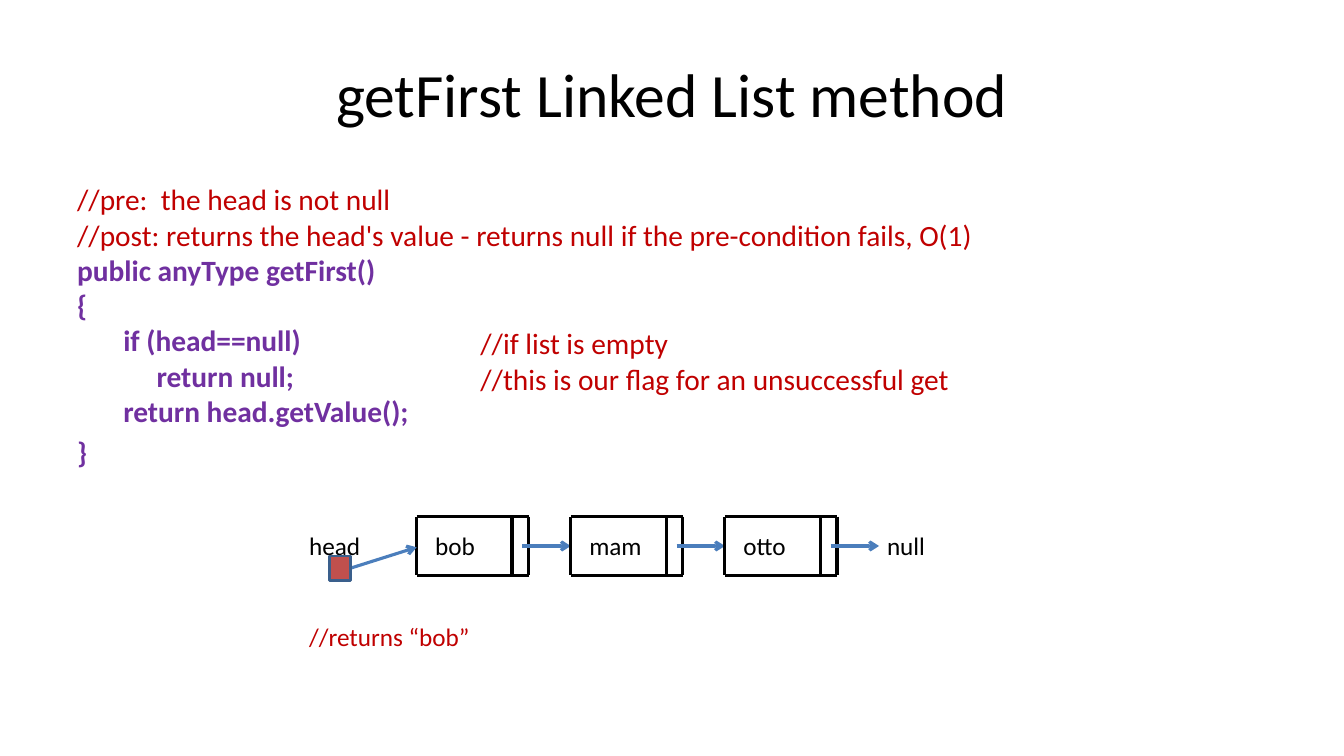
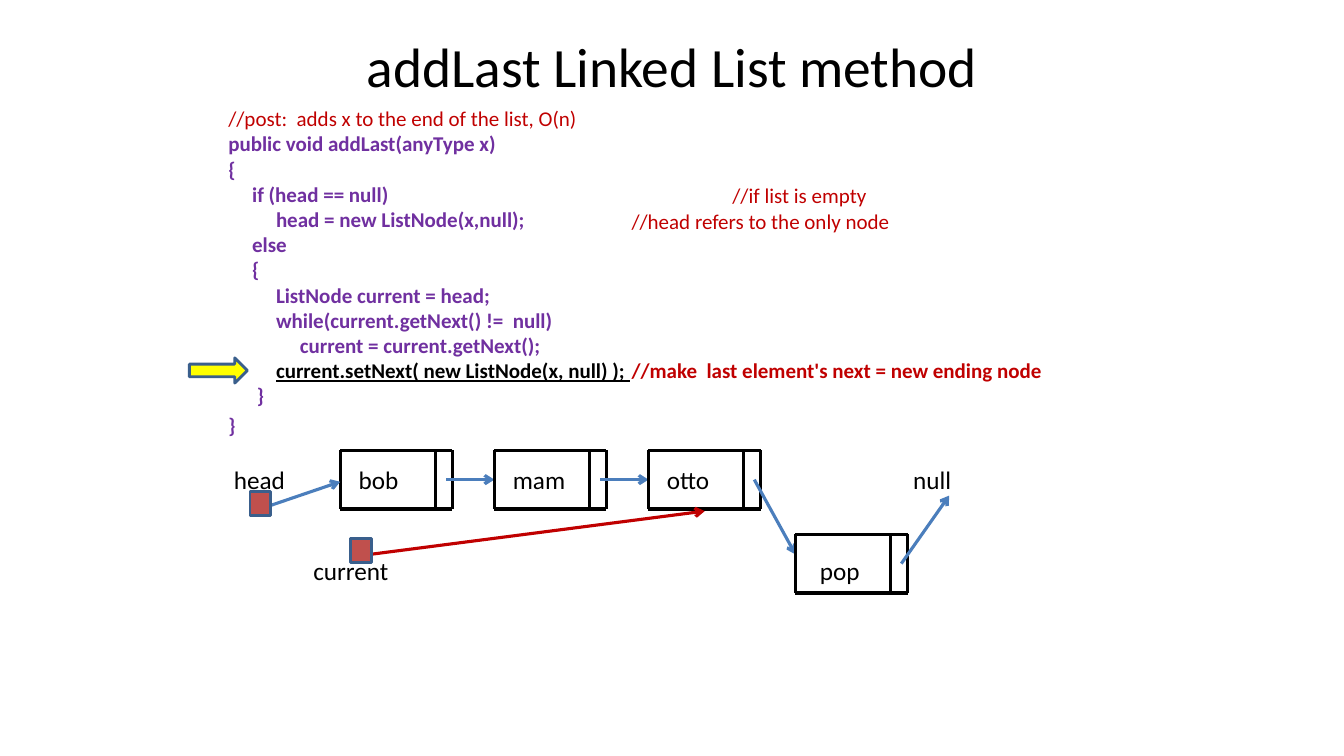
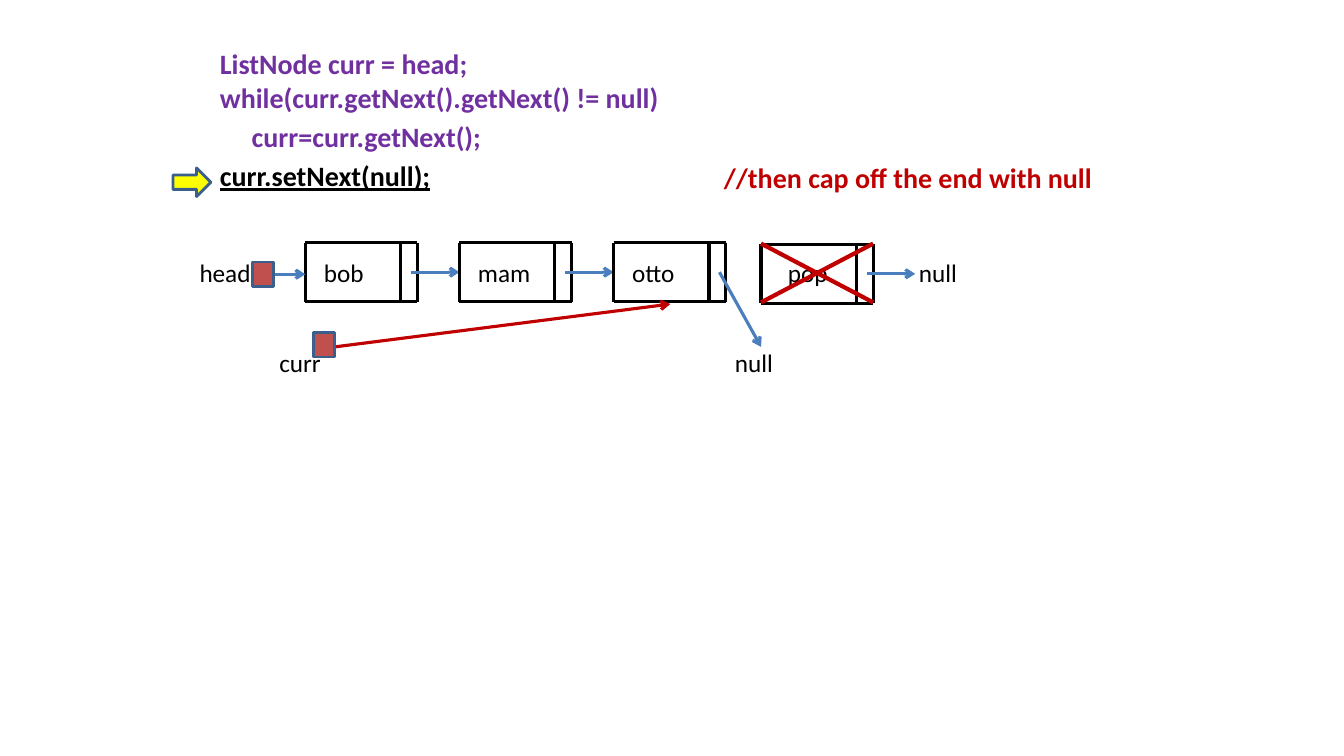
import pptx
import pptx.util
import pptx.dml.color
import pptx.enum.shapes
import pptx.enum.text
import pptx.oxml
import pptx.oxml.ns

FONT = "Calibri"
COLORS = {
    "ink": "000000",
    "code": "7030A0",
    "note": "C00000",
    "link": "4B7EBC",
    "box": "C0504D",
    "edge": "3A5F8C",
    "marker": "FFFF00",
}
COLS, ROWS, ROW_POINTS = 160, 90, 6
LINE_HEIGHT, GAP = 1.22, 0.2
NODE_W, NODE_H, NODE_PITCH = 13.35, 7, 18.35
DIVIDER, TAIL, INSET = 11.35, 12.6, 2.2
RIGHT = 3
SHAPE = pptx.enum.shapes.MSO_SHAPE


def rgb(name):
    return pptx.dml.color.RGBColor.from_string(COLORS[name])


def add_text(p, text, size=18, color="ink", bold=False, underline=False):
    r = p.add_run()
    r.text = text
    r.font.name = FONT
    r.font.size = pptx.util.Pt(size)
    r.font.bold = bold
    r.font.underline = underline
    r.font.color.rgb = rgb(color)
    return r


def code(text):
    return text, dict(color="code", bold=True)


def note(text, bold=False):
    return text, dict(color="note", bold=bold)


def mark(text):
    return text, dict(bold=True, underline=True)


class Deck:
    """Holds the style and the current slide, and draws linked-list elements on a grid."""

    def __init__(self):
        self.prs = pptx.Presentation()
        self.prs.slide_width = pptx.util.Inches(13.33)
        self.prs.slide_height = pptx.util.Inches(7.5)
        self.s = None

    def x(self, cols):
        return round(self.prs.slide_width * cols / COLS)

    def y(self, rows):
        return round(self.prs.slide_height * rows / ROWS)

    def area(self, left, top, width, height):
        return self.x(left), self.y(top), self.x(width), self.y(height)

    def new_slide(self, title=None, area=None, size=44):
        self.s = self.prs.slides.add_slide(self.prs.slide_layouts[5 if title else 6])
        if title:
            sp = self.s.shapes.title
            sp.left, sp.top, sp.width, sp.height = self.area(*area)
            tf = sp.text_frame
            tf.vertical_anchor = pptx.enum.text.MSO_ANCHOR.MIDDLE
            p = tf.paragraphs[0]
            p.alignment = pptx.enum.text.PP_ALIGN.CENTER
            add_text(p, title, size=size)

    def text_box(self, area):
        tf = self.s.shapes.add_textbox(*self.area(*area)).text_frame
        tf.word_wrap = True
        return tf

    def code_block(self, area, lines, size, indent):
        """Writes (depth, spaced, runs) lines, each indented by its depth."""
        tf = self.text_box(area)
        for i, (depth, spaced, *runs) in enumerate(lines):
            p = tf.add_paragraph() if i else tf.paragraphs[0]
            p.space_before = pptx.util.Pt(size * GAP if spaced else 0)
            pPr = p._p.get_or_add_pPr()
            pPr.set("marL", "0")
            pPr.set("indent", str(self.x(depth * indent)))
            for text, style in runs:
                add_text(p, text, size=size, **style)

    def side_note(self, area, column, line, text, size, gaps=0, bold=False):
        """Writes a comment beside one line of the code block in the area."""
        left, top, width, _ = area
        offset = (line * LINE_HEIGHT + gaps * GAP) * size / ROW_POINTS
        tf = self.text_box((left + column, top + offset, width - column, 5.4))
        add_text(tf.paragraphs[0], text, size=size, color="note", bold=bold)

    def label(self, left, top, text, width=12, color="ink"):
        tf = self.text_box((left, top, width, 3.6))
        tf.margin_left = tf.margin_right = tf.margin_top = tf.margin_bottom = 0
        add_text(tf.paragraphs[0], text, color=color)

    def shape(self, kind, area, fill):
        sp = self.s.shapes.add_shape(kind, *self.area(*area))
        sp.shadow.inherit = False
        sp.fill.solid()
        sp.fill.fore_color.rgb = rgb(fill)
        sp.line.color.rgb = rgb("edge")
        sp.line.width = pptx.util.Pt(2)
        return sp

    def line(self, start, end, color="ink", weight=2.25, arrow=False):
        c = self.s.shapes.add_connector(
            pptx.enum.shapes.MSO_CONNECTOR.STRAIGHT,
            self.x(start[0]), self.y(start[1]), self.x(end[0]), self.y(end[1]))
        c.line.color.rgb = rgb(color)
        c.line.width = pptx.util.Pt(weight)
        ns = pptx.oxml.ns.nsdecls("a")
        if arrow:
            c.line._get_or_add_ln().append(
                pptx.oxml.parse_xml('<a:tailEnd %s type="arrow"/>' % ns))
        c._element.spPr.append(pptx.oxml.parse_xml("<a:effectLst %s/>" % ns))
        return c

    def node(self, left, top, text, label_top, inset=INSET, next_end=None):
        """Draws a list node from lines, with its label and its next arrow."""
        for y in (top, top + NODE_H):
            self.line((left, y), (left + NODE_W, y))
        for x in (left, left + DIVIDER, left + NODE_W):
            self.line((x, top), (x, top + NODE_H))
        self.label(left + inset, label_top, text, width=8)
        middle = top + NODE_H / 2
        self.line((left + TAIL, middle), next_end or (left + NODE_PITCH, middle),
                  color="link", arrow=True)

    def node_chain(self, left, top, names, label_top, last_end=None):
        for i, name in enumerate(names):
            end = last_end if i == len(names) - 1 else None
            self.node(left + i * NODE_PITCH, top, name, label_top, next_end=end)

    def reference(self, left, top, end, color="link", start=None):
        c = self.line(start or (left, top), end, color=color, arrow=True)
        sp = self.shape(SHAPE.RECTANGLE, (left, top, 2.5, 2.9), "box")
        if not start:
            c.begin_connect(sp, RIGHT)

    def step_marker(self, *area):
        self.shape(SHAPE.RIGHT_ARROW, area, "marker")

    def cross_out(self, left, top):
        for y1, y2 in ((top, top + NODE_H), (top + NODE_H, top)):
            self.line((left, y1), (left + NODE_W, y2), color="note", weight=3)


NAMES = ["bob", "mam", "otto"]


def get_first(deck):
    deck.new_slide("getFirst Linked List method", (8, 3.6, 144, 15))
    body = (8, 21, 144, 59.4)
    deck.code_block(body, [
        (0, False, note("//pre:  the head is not null")),
        (0, False, note("//post: returns the head's value - returns null if the pre-condition fails, O(1)")),
        (0, False, code("public anyType getFirst()")),
        (0, False, code("{")),
        (1, False, code("if (head==null)")),
        (1.72, False, code("return null;")),
        (1, False, code("return head.getValue();")),
        (0, True, code("}")),
    ], size=21, indent=5.5)
    deck.side_note(body, 48, 4, "//if list is empty", size=21)
    deck.side_note(body, 48, 5, "//this is our flag for an unsuccessful get", size=21)
    deck.node_chain(49.6, 61.5, NAMES, 63.1)
    deck.label(36.8, 63.1, "head")
    deck.label(105.6, 63.1, "null")
    deck.label(36.8, 74, "//returns “bob”", width=24, color="note")
    deck.reference(39.2, 66.2, (49.6, 65.15))


def add_last(deck):
    deck.new_slide("addLast Linked List method", (26, 3.6, 108, 8.4), size=39.6)
    body = (26, 12, 108, 42)
    deck.code_block(body, [
        (0, False, note("//post:  adds x to the end of the list, O(n)")),
        (0, False, code("public void addLast(anyType x)")),
        (0, False, code("{")),
        (1, False, code("if (head == null)")),
        (2, False, code("head = new ListNode(x,null);")),
        (1, False, code("else")),
        (1, False, code("{")),
        (2, False, code("ListNode current = head;")),
        (2, False, code("while(current.getNext() !=  null)")),
        (3, False, code("current = current.getNext();")),
        (2, False, mark("current.setNext( new ListNode(x, null) ); \t"),
         note("//make  last element's next = new ending node", bold=True)),
        (1.2, False, code("}")),
        (0, True, code("}")),
    ], size=15, indent=2.84)
    deck.side_note(body, 60, 3, "//if list is empty", size=15)
    deck.side_note(body, 48, 4, "//head refers to the only node", size=15)
    deck.node_chain(40.5, 53.6, NAMES, 55.3, last_end=(94.7, 66))
    deck.node(94.7, 63.6, "pop", 66.1, inset=2.9, next_end=(113, 59))
    deck.label(27.85, 55.3, "head")
    deck.label(108.7, 55.3, "null")
    deck.label(37.3, 66.1, "current")
    deck.reference(29.75, 58.5, (40.5, 57.35), start=(30.95, 60.6))
    deck.reference(41.75, 64.1, (83.9, 60.85), color="note", start=(44.05, 66))
    deck.step_marker(22.55, 42.6, 6.9, 3)


def remove_last(deck):
    deck.new_slide()
    body = (25, 5, 108, 24)
    deck.code_block(body, [
        (0, False, code("ListNode curr = head;")),
        (0, False, code("while(curr.getNext().getNext() != null)")),
        (1, True, code("curr=curr.getNext();")),
        (0, True, mark("curr.setNext(null);")),
    ], size=20, indent=3.78)
    deck.side_note(body, 60, 3, "//then cap off the end with null", size=20, gaps=2, bold=True)
    deck.node_chain(36.35, 28.9, NAMES, 30.6, last_end=(90.6, 41.3))
    deck.node(90.6, 29.1, "pop", 30.6, inset=3.2)
    deck.cross_out(90.6, 29)
    deck.label(23.75, 30.6, "head")
    deck.label(109.4, 30.6, "null")
    deck.label(33.25, 41.4, "curr")
    deck.label(87.5, 41.4, "null")
    deck.reference(30.1, 31.2, (36.35, 32.65))
    deck.reference(37.3, 39.6, (79.8, 36.2), color="note", start=(39.85, 41.3))
    deck.step_marker(20.6, 20, 4.5, 3.4)


def main():
    deck = Deck()
    for build in (get_first, add_last, remove_last):
        build(deck)
    deck.prs.save("out.pptx")


if __name__ == "__main__":
    main()
